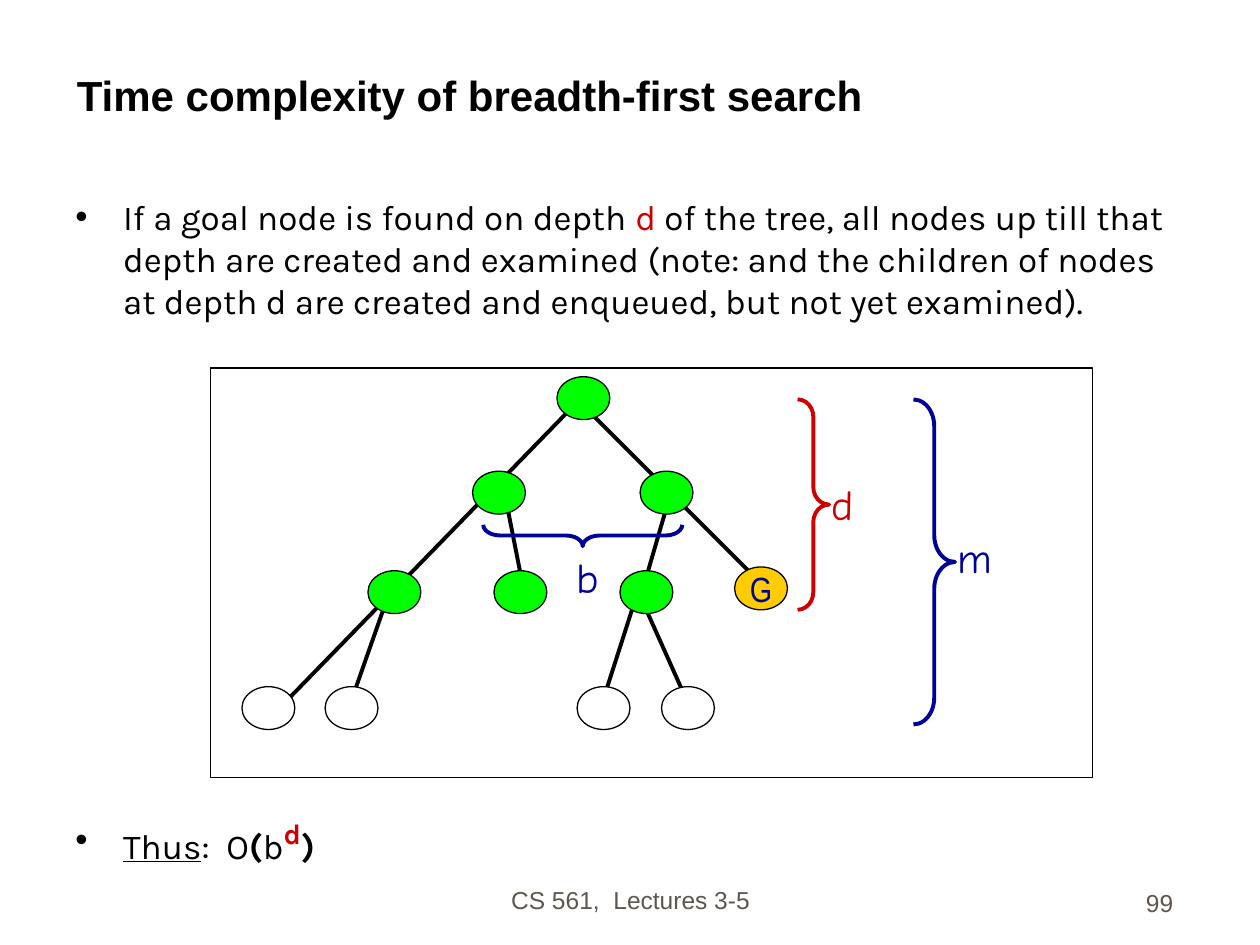
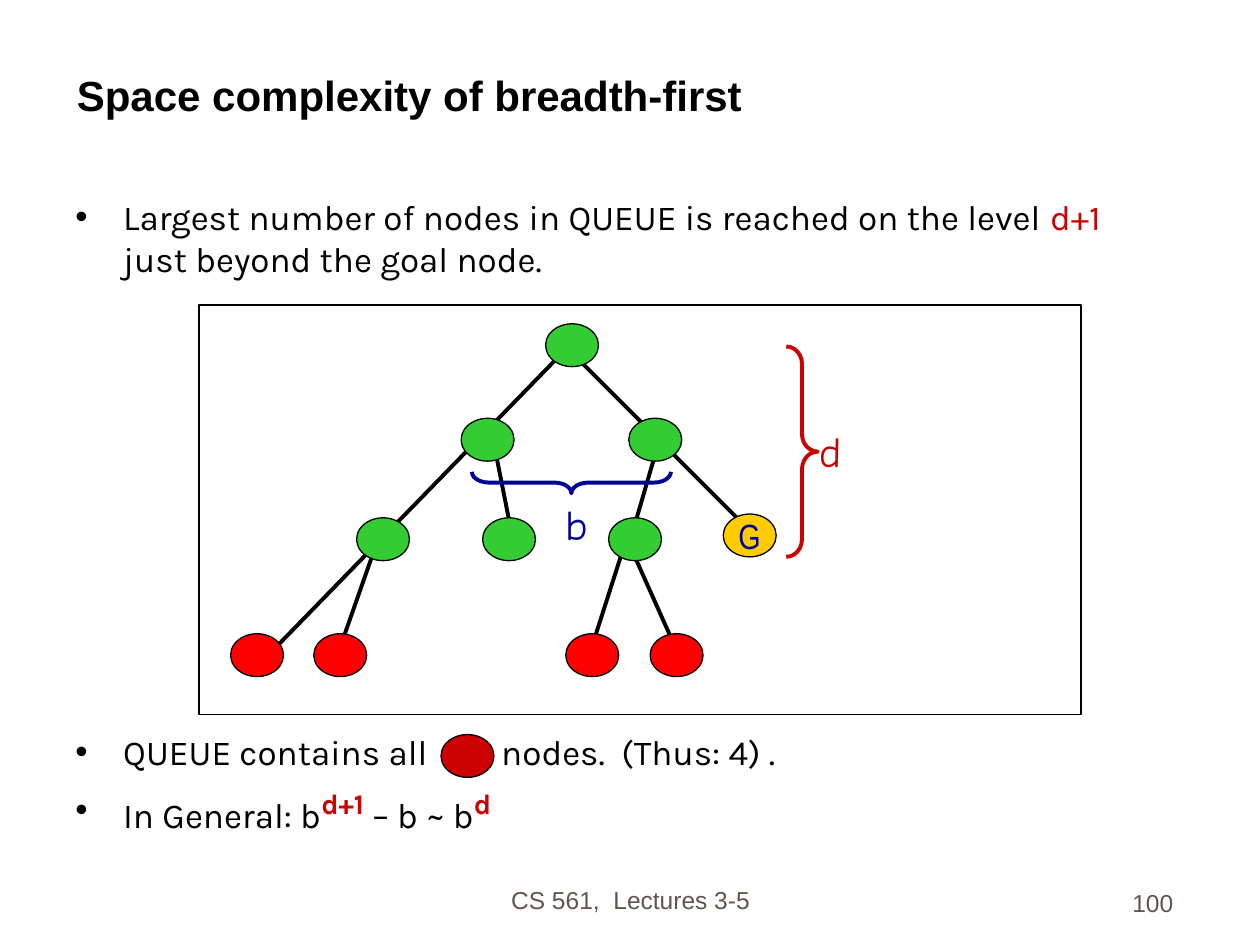
"""Build two slides on the time and space complexity of breadth-first search."""
import pptx
import pptx.dml.color
import pptx.enum.shapes
import pptx.enum.text
import pptx.oxml
import pptx.oxml.ns
import pptx.util

Inches = pptx.util.Inches
Pt = pptx.util.Pt
MSO_SHAPE = pptx.enum.shapes.MSO_SHAPE
ANCHOR = pptx.enum.text.MSO_ANCHOR
ALIGN = pptx.enum.text.PP_ALIGN

COLORS = {
    "black": "000000",
    "white": "FFFFFF",
    "footer": "5E574E",
    "depth": "CC0000",
    "label": "000099",
    "goal": "FFCC00",
    "bright green": "00FF00",
    "green": "33CC33",
    "red": "FF0000",
}
TITLE_FONT = {"name": "Arial", "size": Pt(24), "bold": True}
FOOTER_FONT = {"name": "Arial", "size": Pt(14)}
BODY_FONT = {"name": "Karla", "size": Pt(20)}
LABEL_FONT = {"name": "Comic Neue", "size": Pt(24)}
GOAL_FONT = {"name": "Arial Narrow", "size": Pt(20)}
BOLD = {"bold": True}
UNDERLINED = {"underline": True}
EXPONENT = {"size": Pt(28), "bold": True}

NODE_SIZE = (0.42, 0.34)
EXAMINED_NODES = [(2.5, 0), (1.83, 0.75), (3.16, 0.75), (1, 1.54), (2, 1.54), (3, 1.54)]
LEAF_NODES = [(x, 2.46) for x in (0, 0.66, 2.66, 3.33)]
GOAL_NODE = (3.91, 1.51)
EDGES = [
    ((2.66, 0.18), (4.16, 1.68)),
    ((3.16, 1.74), (3.58, 2.68)),
    ((3.16, 1.65), (2.83, 2.68)),
    ((1.16, 1.74), (0.83, 2.68)),
    ((3.41, 0.9), (3.16, 1.76)),
    ((2.08, 0.9), (2.25, 1.76)),
    ((2.75, 0.11), (0.25, 2.68)),
]


def color(name):
    """Return the named colour."""
    return pptx.dml.color.RGBColor.from_string(COLORS[name])


def set_format(target, values):
    """Set each attribute in values on target."""
    for name, value in values.items():
        setattr(target, name, value)


def box(left, top, width, height):
    """Turn four numbers of inches into lengths."""
    return [Inches(value) for value in (left, top, width, height)]


def shift(origin, point):
    """Return the point moved by the origin."""
    return origin[0] + point[0], origin[1] + point[1]


def add_run(paragraph, text, font, color_name="black"):
    """Add a formatted run of text; exponents are raised."""
    run = paragraph.add_run()
    run.text = text
    set_format(run.font, font)
    run.font.color.rgb = color(color_name)
    if font.get("size") == EXPONENT["size"]:
        run._r.get_or_add_rPr().set("baseline", "30000")


def add_text(slide, place, text, font, color_name, align=ALIGN.LEFT, **frame_format):
    """Add a text box with one line of text."""
    frame = slide.shapes.add_textbox(*box(*place)).text_frame
    set_format(frame, {"word_wrap": True, **frame_format})
    frame.paragraphs[0].alignment = align
    add_run(frame.paragraphs[0], text, font, color_name)


def add_bullets(slide, place, bullets, tab_stop=None):
    """Add bulleted paragraphs, each a list of (text, format, colour) runs."""
    frame = slide.shapes.add_textbox(*box(*place)).text_frame
    frame.word_wrap = True
    for index, runs in enumerate(bullets):
        paragraph = frame.add_paragraph() if index else frame.paragraphs[0]
        paragraph.space_before = Pt(4)
        properties = paragraph._p.get_or_add_pPr()
        properties.set("marL", str(Inches(0.38)))
        properties.set("indent", str(-Inches(0.38)))
        namespace = pptx.oxml.ns.nsdecls("a")
        parts = [
            f'<a:buClr {namespace}><a:srgbClr val="{COLORS["black"]}"/></a:buClr>',
            f'<a:buFont {namespace} typeface="Arial"/>',
            f'<a:buChar {namespace} char="•"/>',
        ]
        if tab_stop:
            parts.append(f'<a:tabLst {namespace}><a:tab pos="{Inches(tab_stop)}" algn="l"/></a:tabLst>')
        for part in parts:
            properties.append(pptx.oxml.parse_xml(part))
        for text, font, color_name in runs:
            add_run(paragraph, text, {**BODY_FONT, **font}, color_name)


def add_shape(slide, preset, place, fill=None, line="black", width=0.75):
    """Add a preset shape without shadow."""
    shape = slide.shapes.add_shape(preset, *box(*place))
    shape.shadow.inherit = False
    if fill:
        shape.fill.solid()
        shape.fill.fore_color.rgb = color(fill)
    else:
        shape.fill.background()
    shape.line.color.rgb = color(line)
    shape.line.width = Pt(width)
    return shape


def add_node(slide, position, fill):
    """Add one tree node."""
    return add_shape(slide, MSO_SHAPE.OVAL, (*position, *NODE_SIZE), fill)


def add_edge(slide, start, end):
    """Add one tree edge."""
    ends = [Inches(value) for value in (*start, *end)]
    edge = slide.shapes.add_connector(pptx.enum.shapes.MSO_CONNECTOR.STRAIGHT, *ends)
    edge.line.color.rgb = color("black")
    edge.line.width = Pt(2.25)
    edge._element.spPr.append(pptx.oxml.parse_xml(f'<a:effectLst {pptx.oxml.ns.nsdecls("a")}/>'))


def add_brace(slide, preset, place, curve, color_name, label, label_at, rotation=0):
    """Add a brace and the letter that names its span."""
    brace = add_shape(slide, preset, place, line=color_name, width=2.25)
    brace.adjustments[0] = curve
    brace.rotation = rotation
    add_text(slide, (*label_at, 0.4, 0.5), label, LABEL_FONT, color_name, word_wrap=False,
             auto_size=pptx.enum.text.MSO_AUTO_SIZE.SHAPE_TO_FIT_TEXT)


def add_tree(slide, frame_at, origin, examined, leaf, show_max_depth=False):
    """Add the framed search tree with its braces."""
    add_shape(slide, MSO_SHAPE.RECTANGLE, (*frame_at, 7, 3.25), "white")
    if show_max_depth:
        add_brace(slide, MSO_SHAPE.RIGHT_BRACE, (*shift(origin, (5.33, 0.18)), 0.33, 2.58),
                  0.646, "label", "m", shift(origin, (5.58, 1.18)))
    for start, end in EDGES:
        add_edge(slide, shift(origin, start), shift(origin, end))
    for positions, fill in ((EXAMINED_NODES, examined), (LEAF_NODES, leaf)):
        for position in positions:
            add_node(slide, shift(origin, position), fill)
    goal = add_node(slide, shift(origin, GOAL_NODE), "goal").text_frame
    set_format(goal, {"word_wrap": False, "vertical_anchor": ANCHOR.MIDDLE})
    goal.paragraphs[0].alignment = ALIGN.CENTER
    add_run(goal.paragraphs[0], "G", GOAL_FONT, "label")
    add_brace(slide, MSO_SHAPE.LEFT_BRACE, (*shift(origin, (2.62, 0.47)), 0.17, 1.58),
              0.792, "label", "b", shift(origin, (2.56, 1.34)), rotation=270)
    add_brace(slide, MSO_SHAPE.RIGHT_BRACE, (*shift(origin, (4.41, 0.18)), 0.25, 1.67),
              0.556, "depth", "d", shift(origin, (4.58, 0.76)))


def add_slide(presentation, heading, number):
    """Add a slide with its title, footer and page number."""
    slide = presentation.slides.add_slide(presentation.slide_layouts[5])
    title = slide.shapes.title
    places = dict(zip(("left", "top", "width", "height"), box(0.51, 0.25, 8.92, 0.75)))
    set_format(title, places)
    set_format(title.text_frame, {"word_wrap": True, "vertical_anchor": ANCHOR.BOTTOM,
                                  "auto_size": pptx.enum.text.MSO_AUTO_SIZE.NONE})
    title.text_frame.paragraphs[0].alignment = ALIGN.LEFT
    add_run(title.text_frame.paragraphs[0], heading, TITLE_FONT)
    add_text(slide, (3.42, 6.81, 3.17, 0.5), "CS 561,  Lectures 3-5", FOOTER_FONT, "footer",
             ALIGN.CENTER, vertical_anchor=ANCHOR.BOTTOM)
    add_text(slide, (7.33, 6.83, 2.08, 0.5), number, FOOTER_FONT, "footer",
             ALIGN.RIGHT, vertical_anchor=ANCHOR.BOTTOM)
    return slide


def add_time_slide(presentation):
    """Add the slide on time complexity."""
    slide = add_slide(presentation, "Time complexity of breadth-first search", "99")
    add_bullets(slide, (0.5, 1.5, 9, 1.17), [[
        ("If a goal node is found on depth ", {}, "black"),
        ("d", {}, "depth"),
        (" of the tree, all nodes up till that depth are created and examined "
         "(note: and the children of nodes at depth d are created and enqueued, "
         "but not yet examined).", {}, "black"),
    ]])
    add_tree(slide, (1.67, 2.92), (1.92, 2.99), "bright green", "white", show_max_depth=True)
    add_bullets(slide, (0.5, 6.38, 9, 0.7), [[
        ("Thus", UNDERLINED, "black"),
        (":  O", {}, "black"),
        ("(", BOLD, "black"),
        ("b", {}, "black"),
        ("d", EXPONENT, "depth"),
        (")", BOLD, "black"),
    ]])


def add_space_slide(presentation):
    """Add the slide on space complexity."""
    slide = add_slide(presentation, "Space complexity of breadth-first", "100")
    add_bullets(slide, (0.5, 1.5, 8.67, 1.08), [[
        ("Largest number of nodes in QUEUE is reached on the level ", {}, "black"),
        ("d+1", {}, "depth"),
        (" just beyond the goal node.", {}, "black"),
    ]])
    add_tree(slide, (1.58, 2.42), (1.83, 2.57), "green", "red")
    add_bullets(slide, (0.5, 5.75, 8.67, 1.08), [
        [("QUEUE contains all\tnodes.  (Thus: 4) .", {}, "black")],
        [
            ("In General: b", {}, "black"),
            ("d+1", EXPONENT, "depth"),
            (" – b ~ b", {}, "black"),
            ("d", EXPONENT, "depth"),
        ],
    ], tab_stop=3.38)
    add_node(slide, (3.5, 5.83), "depth")


def main():
    """Build and save the presentation."""
    presentation = pptx.Presentation()
    set_format(presentation, {"slide_width": Inches(10), "slide_height": Inches(7.5)})
    add_time_slide(presentation)
    add_space_slide(presentation)
    presentation.save("out.pptx")


if __name__ == "__main__":
    main()
